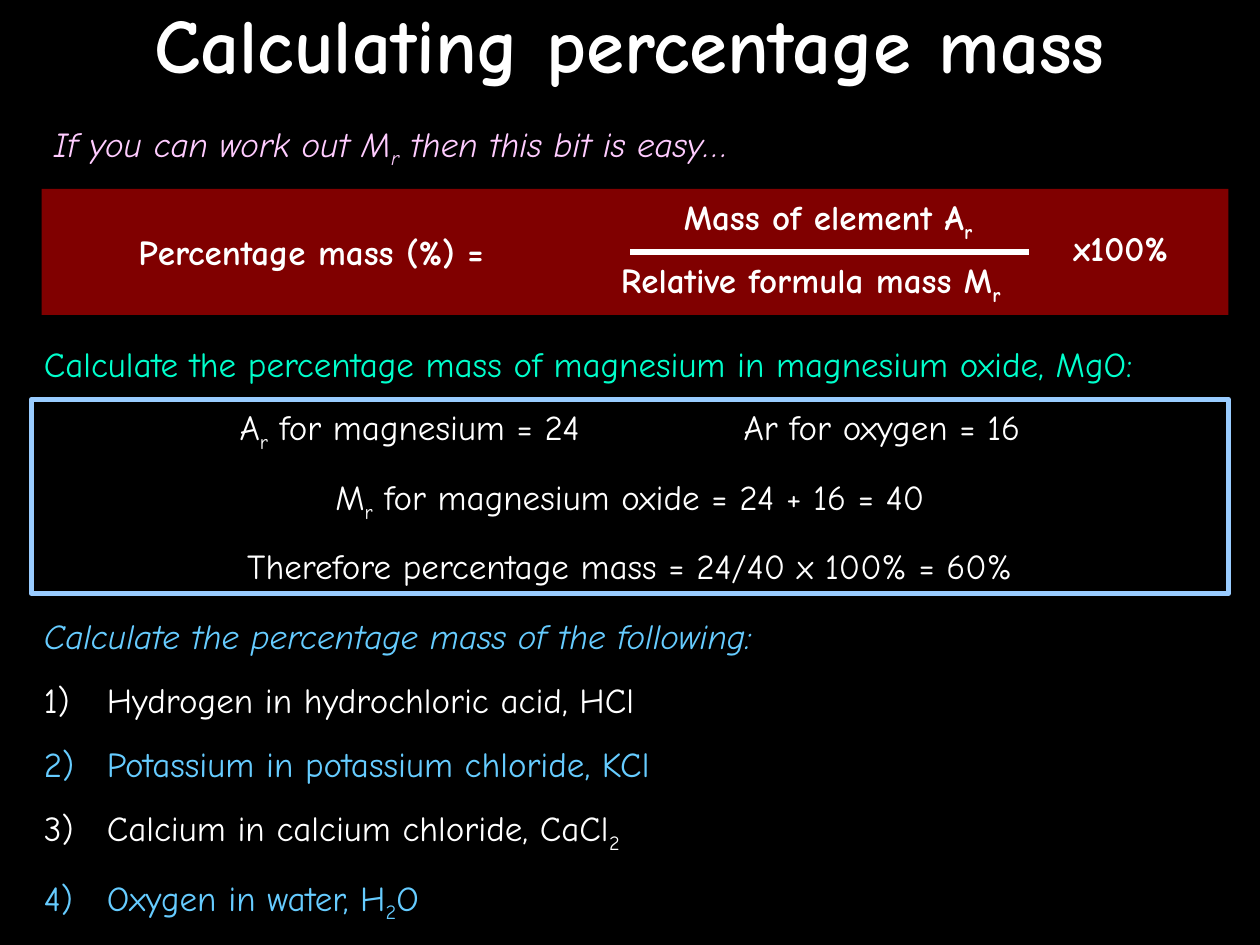
from lxml.etree import SubElement
from pptx import Presentation
from pptx.dml.color import RGBColor
from pptx.enum.shapes import MSO_CONNECTOR, MSO_SHAPE
from pptx.enum.text import MSO_ANCHOR, PP_ALIGN
from pptx.oxml.ns import qn
from pptx.util import Inches, Pt

FONT = "Comic Neue"
WHITE, PINK, GREEN, BLUE = "FFFFFF", "FFCCFF", "00FFCC", "66CCFF"
RED, PALE_BLUE, BLACK = "800000", "99CCFF", "000000"

# Content: an underscore makes the next character a subscript
TITLE = "Calculating percentage mass"
# text, (left, top, width, height), colour, bold, italic
LABELS = [
    ("If you can work out M_r then this bit is easy…", (0.33, 0.92, 9.33, 0.48), PINK, False, True),
    ("Calculate the percentage mass of magnesium in magnesium oxide, MgO:",
     (0.25, 2.67, 9.5, 0.44), GREEN, False, False),
    ("Percentage mass (%) =", (1, 1.78, 3.75, 0.44), WHITE, True, False),
    ("Mass of element A_r", (5.33, 1.5, 4.17, 0.48), WHITE, True, False),
    ("Relative formula mass M_r", (4.83, 2, 4.17, 0.48), WHITE, True, False),
    ("x100%", (8.42, 1.75, 1.58, 0.44), WHITE, True, False),
]
WORKED_EXAMPLE = [
    "A_r for magnesium = 24\t\tAr for oxygen = 16",
    "M_r for magnesium oxide = 24 + 16 = 40",
    "Therefore percentage mass = 24/40 x 100% = 60%",
]
EXERCISE_HEADING = "Calculate the percentage mass of the following:"
EXERCISES = [
    "Hydrogen in hydrochloric acid, HCl",
    "Potassium in potassium chloride, KCl",
    "Calcium in calcium chloride, CaCl_2",
    "Oxygen in water, H_2O",
]


def rgb(colour):
    return RGBColor.from_string(colour)


def add_run(paragraph, text, colour, size, bold, italic, subscript=False):
    run = paragraph.add_run()
    run.text = text
    font = run.font
    font.name, font.size, font.bold, font.italic = FONT, Pt(size), bold, italic
    font.color.rgb = rgb(colour)
    if subscript:
        run._r.get_or_add_rPr().set("baseline", "-25000")


def write(paragraph, text, colour, size=20, bold=False, italic=False):
    first, *rest = text.split("_")
    add_run(paragraph, first, colour, size, bold, italic)
    for part in rest:
        add_run(paragraph, part[0], colour, size, bold, italic, True)
        if part[1:]:
            add_run(paragraph, part[1:], colour, size, bold, italic)


def next_paragraph(frame):
    paragraph = frame.add_paragraph()
    paragraph.space_before = Pt(12.5)
    return paragraph


def add_text_box(slide, place):
    frame = slide.shapes.add_textbox(*map(Inches, place)).text_frame
    frame.word_wrap = True
    return frame


def add_rectangle(slide, place):
    shape = slide.shapes.add_shape(MSO_SHAPE.RECTANGLE, *map(Inches, place))
    shape.shadow.inherit = False
    return shape


def set_tabs(paragraph):
    tabs = SubElement(paragraph._p.get_or_add_pPr(), qn("a:tabLst"))
    for inch in range(1, 9):
        SubElement(tabs, qn("a:tab"), pos=str(Inches(inch)), algn="l")


def set_number(paragraph, colour):
    properties = paragraph._p.get_or_add_pPr()
    properties.set("marL", str(Inches(0.5)))
    properties.set("indent", str(Inches(-0.5)))
    bullet_colour = SubElement(properties, qn("a:buClr"))
    SubElement(bullet_colour, qn("a:srgbClr"), val=colour)
    SubElement(properties, qn("a:buFont"), typeface=FONT)
    SubElement(properties, qn("a:buAutoNum"), type="arabicParenR")


def main():
    presentation = Presentation()
    presentation.slide_width, presentation.slide_height = Inches(10), Inches(7.5)
    slide = presentation.slides.add_slide(presentation.slide_layouts[5])
    slide.background.fill.solid()
    slide.background.fill.fore_color.rgb = rgb(BLACK)

    # Title
    title = slide.shapes.title
    title.left, title.top, title.width, title.height = map(Inches, (0, 0, 10, 0.67))
    title.text_frame.vertical_anchor = MSO_ANCHOR.MIDDLE
    title.text_frame.paragraphs[0].alignment = PP_ALIGN.CENTER
    write(title.text_frame.paragraphs[0], TITLE, WHITE, 44, bold=True)

    # Formula panel and fraction bar
    panel = add_rectangle(slide, (0.33, 1.5, 9.42, 1))
    panel.fill.solid()
    panel.fill.fore_color.rgb = rgb(RED)
    panel.line.fill.background()
    bar = slide.shapes.add_connector(MSO_CONNECTOR.STRAIGHT, *map(Inches, (5, 2, 8.17, 2)))
    bar.line.color.rgb = rgb(WHITE)
    bar.line.width = Pt(3)
    SubElement(bar._element.spPr, qn("a:effectLst"))

    # Single-line texts
    for text, place, colour, bold, italic in LABELS:
        frame = add_text_box(slide, place)
        write(frame.paragraphs[0], text, colour, bold=bold, italic=italic)

    # Worked example
    example = add_rectangle(slide, (0.25, 3.17, 9.5, 1.54))
    example.fill.background()
    example.line.color.rgb = rgb(PALE_BLUE)
    example.line.width = Pt(3)
    frame = example.text_frame
    frame.word_wrap = True
    frame.vertical_anchor = MSO_ANCHOR.TOP
    for index, text in enumerate(WORKED_EXAMPLE):
        paragraph = next_paragraph(frame) if index else frame.paragraphs[0]
        set_tabs(paragraph)
        paragraph.alignment = PP_ALIGN.CENTER
        write(paragraph, text, WHITE)

    # Exercises in alternating colours
    frame = add_text_box(slide, (0.25, 4.83, 9.5, 2.56))
    write(frame.paragraphs[0], EXERCISE_HEADING, BLUE, italic=True)
    for index, text in enumerate(EXERCISES):
        colour = (WHITE, BLUE)[index % 2]
        paragraph = next_paragraph(frame)
        set_number(paragraph, colour)
        write(paragraph, text, colour)

    presentation.save("out.pptx")


if __name__ == "__main__":
    main()
